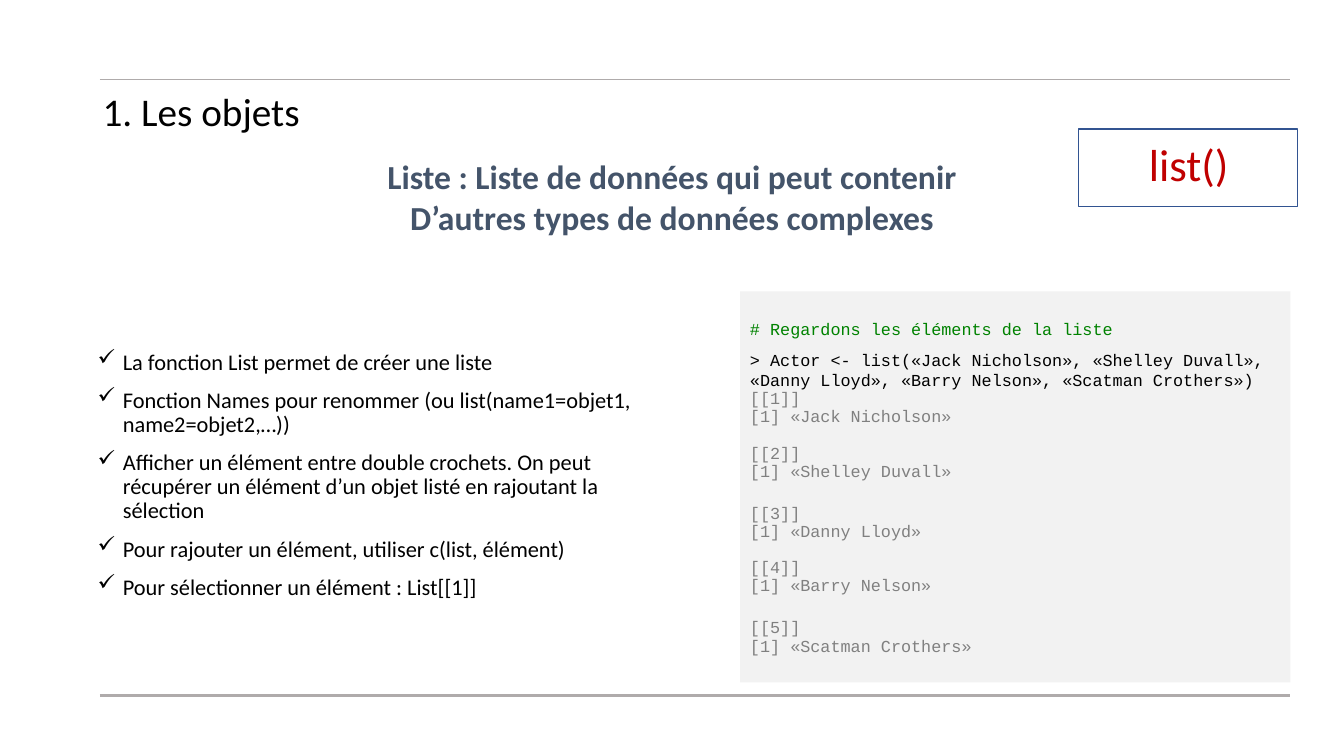
from lxml import etree
from pptx import Presentation
from pptx.dml.color import RGBColor
from pptx.enum.shapes import MSO_CONNECTOR, MSO_SHAPE
from pptx.enum.text import MSO_ANCHOR, PP_ALIGN
from pptx.oxml.ns import qn
from pptx.util import Inches, Pt

COLORS = {
    "rule": "AFABAB", "black": "000000", "heading": "44546A", "border": "325491",
    "function": "C00000", "panel": "F2F2F2", "comment": "008200", "output": "808080",
}


def set_frame(shape, anchor=MSO_ANCHOR.TOP):
    frame = shape.text_frame
    frame.word_wrap = True
    frame.vertical_anchor = anchor
    return frame


def add_text(frame, text, color, size, font="Calibri", bold=False, **layout):
    first = frame.paragraphs[0]
    paragraph = frame.add_paragraph() if first.runs else first
    paragraph.text = text
    for name, value in layout.items():
        setattr(paragraph, name, value)
    for run in paragraph.runs:
        for name, value in {"name": font, "size": Pt(size), "bold": bold}.items():
            setattr(run.font, name, value)
        run.font.color.rgb = RGBColor.from_string(COLORS[color])
    return paragraph


prs = Presentation()
prs.slide_width, prs.slide_height = Inches(13.33), Inches(7.5)
slide = prs.slides.add_slide(prs.slide_layouts[6])
shapes = slide.shapes

# Rules above and below the content
for y, width in ((0.79, 1.25), (6.9, 1.5)):
    rule = shapes.add_connector(MSO_CONNECTOR.STRAIGHT, Inches(0.99), Inches(y),
                                Inches(12.79), Inches(y))
    rule.line.color.rgb = RGBColor.from_string(COLORS["rule"])
    rule.line.width = Pt(width)
    etree.SubElement(rule._element.spPr, qn("a:effectLst"))

# Title and heading
title = shapes.add_textbox(Inches(0.92), Inches(0.4), Inches(11.5), Inches(1.45))
add_text(set_frame(title, MSO_ANCHOR.MIDDLE), "1. Les objets", "black", 28, line_spacing=0.9)

heading = shapes.add_textbox(Inches(0), Inches(1.5), Inches(13.33), Inches(0.91))
heading_frame = set_frame(heading)
for line in ("Liste : Liste de données qui peut contenir",
             "D’autres types de données complexes"):
    add_text(heading_frame, line, "heading", 24, bold=True, alignment=PP_ALIGN.CENTER)

# Explanations with check marks
explanations = shapes.add_textbox(Inches(0.87), Inches(3.43), Inches(5.79), Inches(2.49))
explanations_frame = set_frame(explanations)
for point in (
    "La fonction List permet de créer une liste",
    "Fonction Names pour renommer (ou list(name1=objet1, name2=objet2,…))",
    "Afficher un élément entre double crochets. On peut récupérer un élément "
    "d’un objet listé en rajoutant la sélection",
    "Pour rajouter un élément, utiliser c(list, élément)",
    "Pour sélectionner un élément : List[[1]]",
):
    paragraph = add_text(explanations_frame, point, "black", 16,
                         line_spacing=0.9, space_before=Pt(10))
    properties = paragraph._p.get_or_add_pPr()
    properties.set("marL", str(Inches(0.25)))
    properties.set("indent", str(Inches(-0.25)))
    etree.SubElement(properties, qn("a:buChar"), char="✓")

# Function name in its frame
function_box = shapes.add_shape(MSO_SHAPE.RECTANGLE, Inches(10.7), Inches(1.28),
                                Inches(2.17), Inches(0.77))
function_box.shadow.inherit = False
function_box.fill.background()
function_box.line.color.rgb = RGBColor.from_string(COLORS["border"])
function_box.line.width = Pt(1)
function_name = shapes.add_textbox(Inches(10.78), Inches(1.31), Inches(2.02), Inches(0.64))
add_text(set_frame(function_name), "list()", "function", 32, alignment=PP_ALIGN.CENTER)

# Code panel
code_panel = shapes.add_shape(MSO_SHAPE.RECTANGLE, Inches(7.34), Inches(2.89),
                              Inches(5.46), Inches(3.88))
code_panel.shadow.inherit = False
code_panel.fill.solid()
code_panel.fill.fore_color.rgb = RGBColor.from_string(COLORS["panel"])
code_panel.line.fill.background()
code = set_frame(code_panel)
code.margin_top = Inches(0.27)
code_style = {"size": 12, "font": "Courier New", "alignment": PP_ALIGN.LEFT}
add_text(code, "# Regardons les éléments de la liste", "comment", **code_style)
add_text(code, "> Actor <- list(«Jack Nicholson», «Shelley Duvall»,\v"
         "«Danny Lloyd», «Barry Nelson», «Scatman Crothers»)",
         "black", space_before=Pt(8), **code_style)

# Printed list elements
actors = ("Jack Nicholson", "Shelley Duvall", "Danny Lloyd", "Barry Nelson", "Scatman Crothers")
gaps = (0, 13, 17, 13, 17)
for number, (actor, gap) in enumerate(zip(actors, gaps), start=1):
    add_text(code, f"[[{number}]]\v[1] «{actor}»", "output", line_spacing=0.9,
             space_before=Pt(gap), **code_style)

prs.save("out.pptx")
